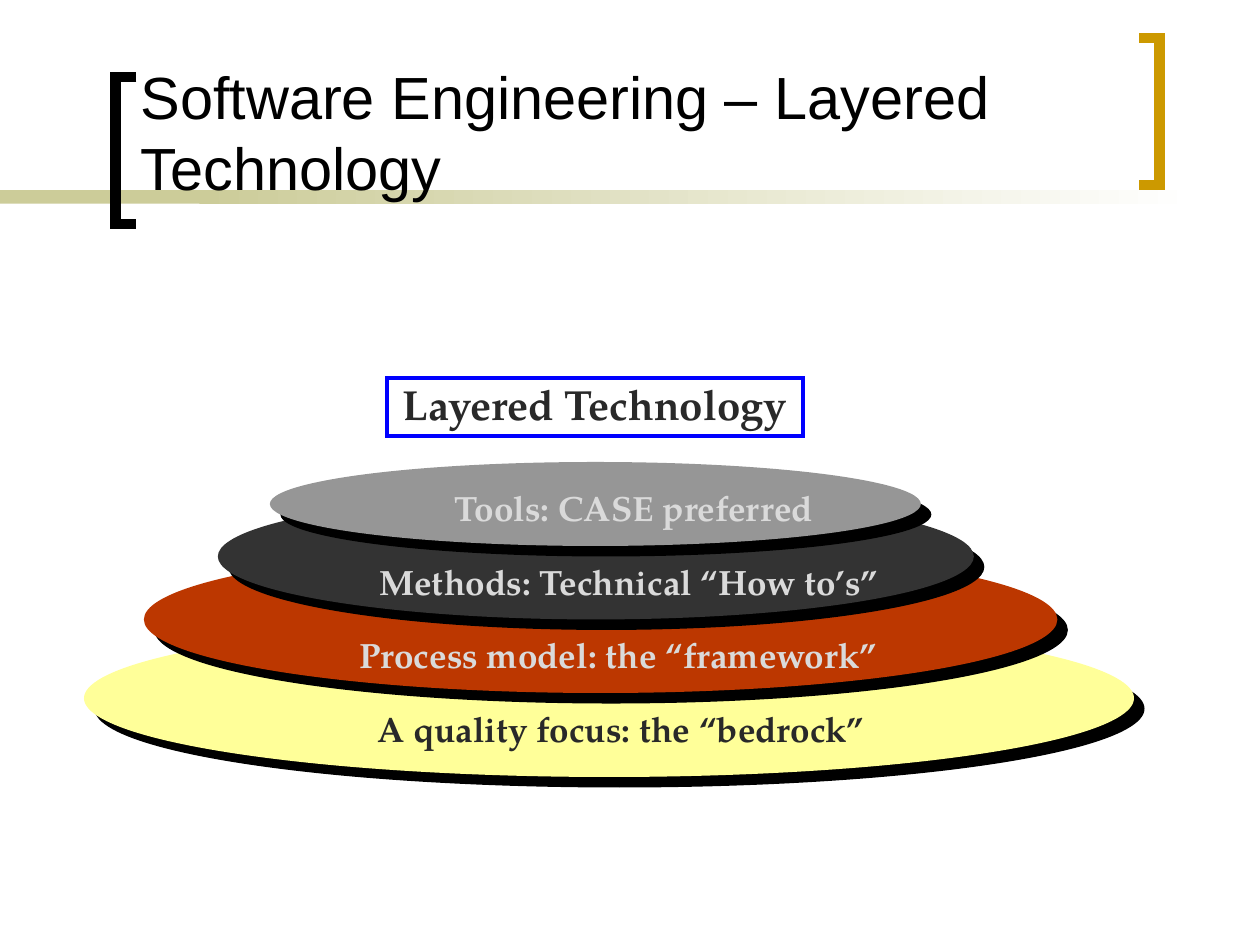
from lxml import etree
from pptx import Presentation
from pptx import util as u
from pptx.dml.color import RGBColor
from pptx.enum import shapes, text
from pptx.oxml import parse_xml
from pptx.oxml.ns import nsdecls, qn

BLACK = RGBColor(0x00, 0x00, 0x00)
WHITE = RGBColor(0xFF, 0xFF, 0xFF)
SAGE = RGBColor(0xCC, 0xCC, 0x99)
GOLD = RGBColor(0xCC, 0x99, 0x00)
BLUE = RGBColor(0x00, 0x00, 0xFF)
YELLOW = RGBColor(0xFF, 0xFF, 0x99)
RUST = RGBColor(0xBC, 0x37, 0x00)
CHARCOAL = RGBColor(0x33, 0x33, 0x33)
GREY = RGBColor(0x96, 0x96, 0x96)
DARK_TEXT = RGBColor(0x29, 0x29, 0x29)
LIGHT_TEXT = RGBColor(0xDA, 0xDA, 0xDA)

deck = Presentation()
deck.slide_width, deck.slide_height = u.Inches(10), u.Inches(7.5)
page = deck.slides.add_slide(deck.slide_layouts[5])
CELL = deck.slide_width / 120  # grid of 120 columns by 90 rows


def grid(*cells):
    """Turn grid columns and rows into lengths."""
    return [u.Emu(round(cell * CELL)) for cell in cells]


def set_outline(shape, color, points):
    """Give a shape a square-cornered line."""
    shape.line.color.rgb = color
    shape.line.width = u.Pt(points)
    outline = shape.element.spPr.find(qn("a:ln"))
    etree.SubElement(outline, qn("a:miter"), lim="800000")


# Band under the title: a solid start, then a fade to white
for left, width, fades in [(0, 28, False), (19, 95, True)]:
    band = page.shapes.add_shape(shapes.MSO_SHAPE.RECTANGLE, *grid(left, 18.1, width, 1.3))
    band.shadow.inherit = False
    band.line.fill.background()
    if fades:
        band.fill.gradient()
        band.fill.gradient_angle = 0
        for stop, color, position in zip(band.fill.gradient_stops, (SAGE, WHITE), (0, 1)):
            stop.color.rgb, stop.position = color, position
    else:
        band.fill.solid()
        band.fill.fore_color.rgb = SAGE

# Brackets around the title: open ends, spine, top, colour
for ends, spine, top, color in [(13, 11, 7.35, BLACK), (108.5, 110.45, 3.6, GOLD)]:
    bottom = top + 14
    builder = page.shapes.build_freeform(*grid(ends, top))
    corners = [(spine, top), (spine, bottom), (ends, bottom)]
    builder.add_line_segments([grid(*corner) for corner in corners], close=False)
    bracket = builder.convert_to_shape()
    bracket.shadow.inherit = False
    bracket.fill.background()
    set_outline(bracket, color, 6)

# Title, raised above the band
title = page.shapes.title
title.left, title.top, title.width, title.height = grid(12.2, 1.3, 94, 18.6)
page.shapes.element.append(title.element)
title.text_frame.word_wrap = True
title.text_frame.auto_size = text.MSO_AUTO_SIZE.NONE
title.text_frame.vertical_anchor = text.MSO_ANCHOR.BOTTOM
para = title.text_frame.paragraphs[0]
para.alignment = text.PP_ALIGN.LEFT
span = para.add_run()
span.text = "Software Engineering – Layered Technology"
span.font.name, span.font.size = "Arial", u.Pt(34)
span.font.color.rgb = BLACK

# Stacked layers, from the bottom up
for place, color in [
    ((8, 59, 100, 15), YELLOW),
    ((13.7, 52, 87, 14), RUST),
    ((20.75, 47, 72, 12), CHARCOAL),
    ((25.7, 44, 62, 8), GREY),
]:
    layer = page.shapes.add_shape(shapes.MSO_SHAPE.OVAL, *grid(*place))
    layer.fill.solid()
    layer.fill.fore_color.rgb = color
    layer.line.fill.background()
    layer.element.spPr.append(parse_xml(
        f'<a:effectLst {nsdecls("a")}><a:outerShdw dist="{u.Pt(8.5)}" dir="2700000" '
        f'algn="ctr" rotWithShape="0"><a:srgbClr val="{BLACK}"/></a:outerShdw></a:effectLst>'))

# Layer names seven rows apart, then the framed heading over the stack
for place, wording, size, color in [
    ((34.75, 66.75, 49.5, 5.2), "A quality focus: the “bedrock”", 20, DARK_TEXT),
    ((33.05, 59.75, 52.5, 5.2), "Process model: the “framework”", 20, LIGHT_TEXT),
    ((34.95, 52.75, 51, 5.2), "Methods: Technical “How to’s”", 20, LIGHT_TEXT),
    ((42.1, 45.75, 37.5, 5.2), "Tools: CASE preferred", 20, LIGHT_TEXT),
    ((36.85, 36, 39.6, 5.5), "Layered Technology", 24, DARK_TEXT),
]:
    label = page.shapes.add_textbox(*grid(*place))
    label.text_frame.word_wrap = False
    label.text_frame.auto_size = text.MSO_AUTO_SIZE.SHAPE_TO_FIT_TEXT
    span = label.text_frame.paragraphs[0].add_run()
    span.text = wording
    span.font.name, span.font.size, span.font.bold = "TeX Gyre Pagella", u.Pt(size), True
    span.font.color.rgb = color

# The last label is the heading
set_outline(label, BLUE, 2.25)
label.text_frame.paragraphs[0].alignment = text.PP_ALIGN.CENTER
label.text_frame.paragraphs[0].line_spacing = 0.9

deck.save("out.pptx")
